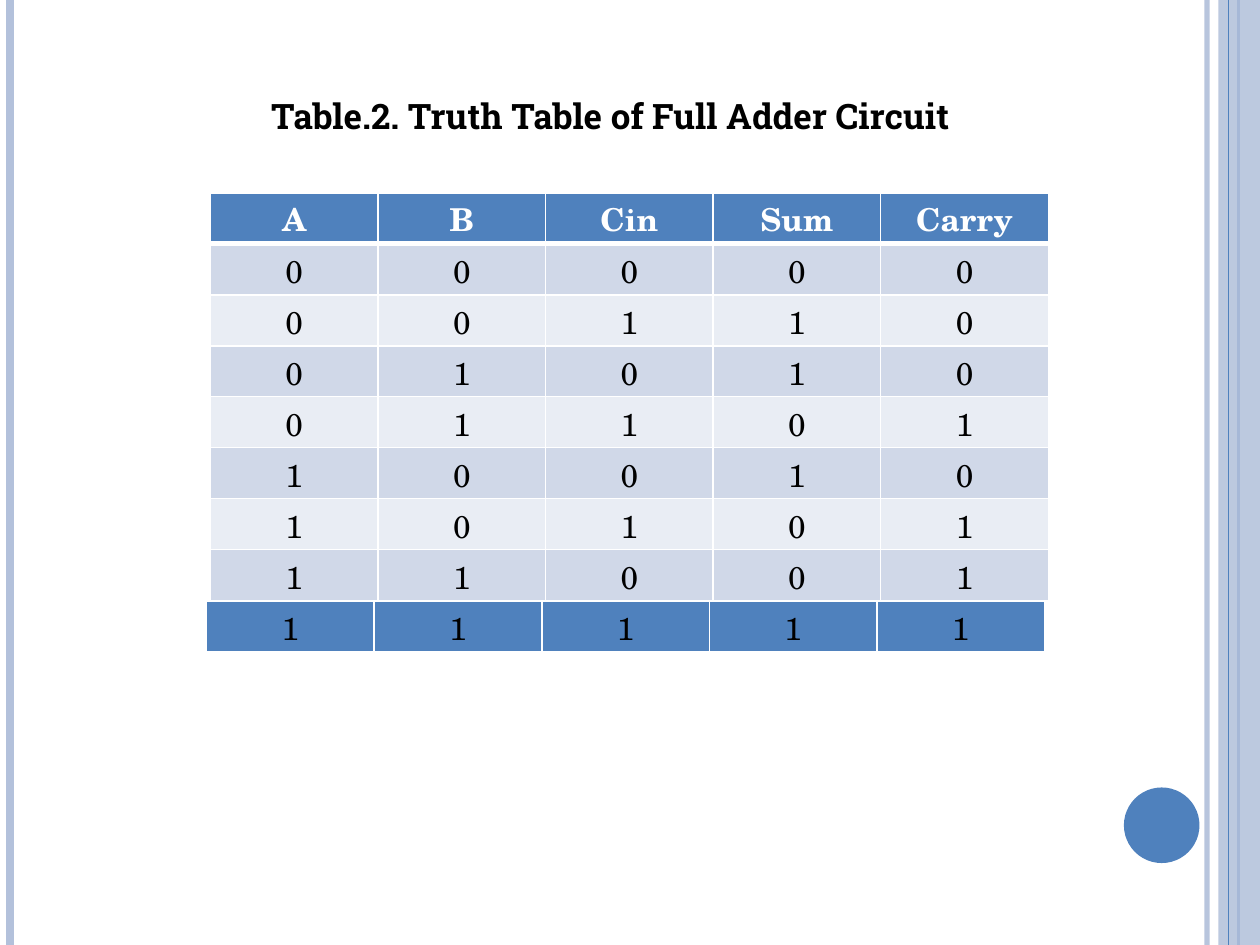
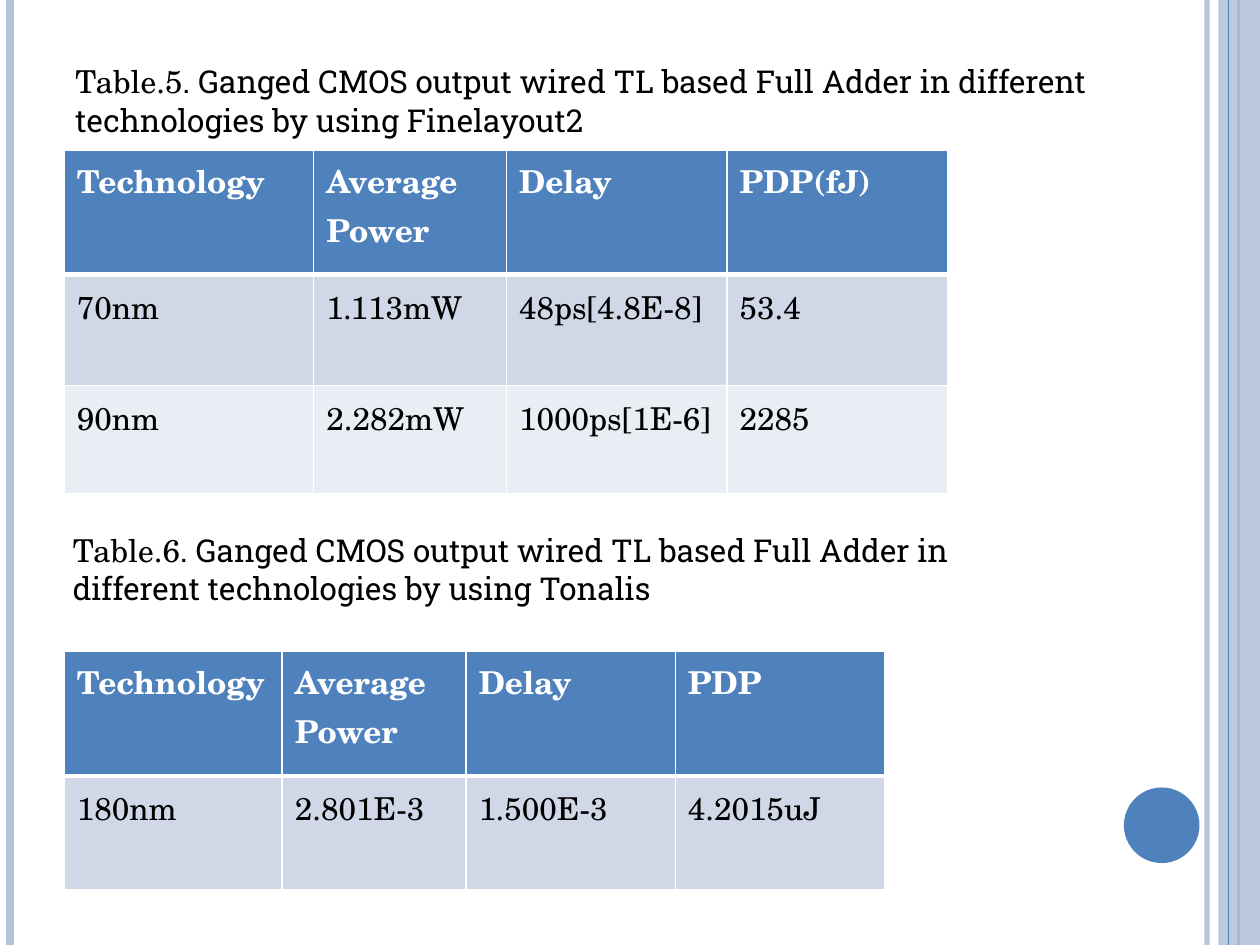
from itertools import product

from lxml import etree
from pptx import Presentation
from pptx.dml.color import RGBColor
from pptx.enum.shapes import MSO_CONNECTOR, MSO_SHAPE
from pptx.enum.text import MSO_ANCHOR, PP_ALIGN
from pptx.oxml.ns import qn
from pptx.util import Inches, Pt

STRAIGHT = MSO_CONNECTOR.STRAIGHT
RECTANGLE, OVAL = MSO_SHAPE.RECTANGLE, MSO_SHAPE.OVAL
TOP, MIDDLE = MSO_ANCHOR.TOP, MSO_ANCHOR.MIDDLE
LEFT, CENTER = PP_ALIGN.LEFT, PP_ALIGN.CENTER

BLUE = RGBColor(0x4F, 0x81, 0xBD)
PALE_BLUE = RGBColor(0xB3, 0xC1, 0xDB)
ROW_DARK = RGBColor(0xD0, 0xD8, 0xE8)
ROW_LIGHT = RGBColor(0xE9, 0xED, 0xF4)
WHITE = RGBColor(0xFF, 0xFF, 0xFF)
BLACK = RGBColor(0, 0, 0)

SLAB = "Roboto Slab"
SCHOLA = "TeX Gyre Schola"
WIDTH, HEIGHT = 10, 7.5

BODY = {"name": SCHOLA, "size": Pt(18), "bold": False}
HEADER = {**BODY, "bold": True}
CAPTION = {**BODY, "name": SLAB}
TITLE = {"name": SLAB, "size": Pt(20), "bold": True}


def set_format(font, values, color):
    for name, value in values.items():
        setattr(font, name, value)
    font.color.rgb = color


def set_opacity(fill_parent, percent):
    color = fill_parent.find(f".//{qn('a:srgbClr')}")
    etree.SubElement(color, qn("a:alpha"), val=str(percent * 1000))


# Shared page frame
def add_rule(page, x, color, weight, opacity=100):
    rule = page.shapes.add_connector(STRAIGHT, Inches(x), 0, Inches(x), Inches(HEIGHT))
    rule.line.color.rgb = color
    rule.line.width = Pt(weight)
    properties = rule._element.spPr
    if opacity < 100:
        set_opacity(properties, opacity)
    etree.SubElement(properties, qn("a:effectLst"))


def add_solid(page, kind, box, color):
    shape = page.shapes.add_shape(kind, *map(Inches, box))
    shape.shadow.inherit = False
    shape.fill.solid()
    shape.fill.fore_color.rgb = color
    shape.line.fill.background()
    return shape


def add_page(deck):
    page = deck.slides.add_slide(deck.slide_layouts[6])
    add_rule(page, 9.58, PALE_BLUE, 3, 93)
    add_rule(page, 0.08, PALE_BLUE, 4.5)
    add_rule(page, 9.83, BLUE, 1.5)
    band = add_solid(page, RECTANGLE, (9.67, 0, 0.33, HEIGHT), PALE_BLUE)
    set_opacity(band._element.spPr, 87)
    add_rule(page, 9.75, BLUE, 0.75)
    add_solid(page, OVAL, (8.92, 6.25, 0.6, 0.6), BLUE)
    return page


# Text boxes: spans are (text, format) pairs
def add_text(page, box, spans, align=LEFT, spacing=None):
    frame = page.shapes.add_textbox(*map(Inches, box)).text_frame
    frame.word_wrap = True
    para = frame.paragraphs[0]
    para.alignment = align
    para.line_spacing = spacing
    for text, values in spans:
        span = para.add_run()
        span.text = text
        set_format(span.font, values, BLACK)


def add_caption(page, box, label, text):
    add_text(page, box, [(label, BODY), (text, CAPTION)], spacing=Pt(22))


# Tables
def add_borders(cell, weights):
    properties = cell._tc.get_or_add_tcPr()
    for side, weight in weights.items():
        line = etree.SubElement(properties, qn(f"a:ln{side}"), w=str(Pt(weight)))
        fill = etree.SubElement(line, qn("a:solidFill"))
        etree.SubElement(fill, qn("a:srgbClr"), val=str(WHITE))


def add_grid(page, left, top, columns, heights, rows, fills,
             has_header=True, align=LEFT, anchor=TOP, margin=0.05):
    box = (left, top, sum(columns), sum(heights))
    table = page.shapes.add_table(len(rows), len(columns), *map(Inches, box)).table
    for column, width in zip(table.columns, columns):
        column.width = Inches(width)
    for row, height in zip(table.rows, heights):
        row.height = Inches(height)
    for r, c in product(range(len(rows)), range(len(columns))):
        cell = table.cell(r, c)
        is_header = has_header and r == 0
        below_header = has_header and r == 1
        add_borders(cell, {"L": 1, "R": 1, "T": 3 if below_header else 1,
                           "B": 3 if is_header else 1})
        cell.fill.solid()
        cell.fill.fore_color.rgb = fills[r]
        cell.margin_top = cell.margin_bottom = Inches(margin)
        cell.vertical_anchor = anchor
        cell.text = rows[r][c]
        para = cell.text_frame.paragraphs[0]
        para.alignment = align
        para.line_spacing = Pt(28)
        set_format(para.runs[0].font, HEADER if is_header else BODY,
                   WHITE if is_header else BLACK)


def add_truth_table_slide(deck):
    page = add_page(deck)
    # Sum and carry follow from the three inputs
    cases = []
    for bits in product((0, 1), repeat=3):
        carry, total = divmod(sum(bits), 2)
        cases.append([str(value) for value in (*bits, total, carry)])
    columns, row_height = [1.33] * 5, 0.405
    rows = [["A", "B", "Cin", "Sum", "Carry"], *cases[:-1]]
    fills = [BLUE] + [ROW_LIGHT if i % 2 else ROW_DARK for i in range(7)]
    style = {"align": CENTER, "anchor": MIDDLE, "margin": 0}
    add_grid(page, 1.67, 1.53, columns, [row_height] * 8, rows, fills, **style)
    # The last case is a separate highlighted strip
    add_grid(page, 1.64, 4.77, columns, [row_height], cases[-1:], [BLUE],
             has_header=False, **style)
    add_text(page, (1.64, 0.7, 6.41, 0.44),
             [("Table.2. Truth Table of Full Adder Circuit", TITLE)], CENTER)


def add_results_slide(deck):
    page = add_page(deck)
    fills = [BLUE, ROW_DARK, ROW_LIGHT]
    headings = ["Technology", "Average Power", "Delay"]
    subject = ". Ganged CMOS output wired TL based Full Adder in different technologies by using "
    # Upper results
    add_grid(page, 0.51, 1.19, [1.98, 1.53, 1.75, 1.75], [0.99, 0.88, 0.86],
             [[*headings, "PDP(fJ)"],
              ["70nm", "1.113mW", "48ps[4.8E-8]", "53.4"],
              ["90nm", "2.282mW", "1000ps[1E-6]", "2285"]], fills)
    add_caption(page, (0.5, 0.44, 8.67, 0.71), "Table.5", subject + "Finelayout2")
    # Lower results
    add_grid(page, 0.51, 5.17, [1.73, 1.46, 1.66, 1.66], [0.99, 0.9],
             [[*headings, "PDP"],
              ["180nm", "2.801E-3", "1.500E-3", "4.2015uJ"]], fills)
    add_caption(page, (0.48, 4.16, 8.07, 0.71), "Table.6", subject + "Tonalis")


def main():
    deck = Presentation()
    deck.slide_width, deck.slide_height = Inches(WIDTH), Inches(HEIGHT)
    add_truth_table_slide(deck)
    add_results_slide(deck)
    deck.save("out.pptx")


if __name__ == "__main__":
    main()
